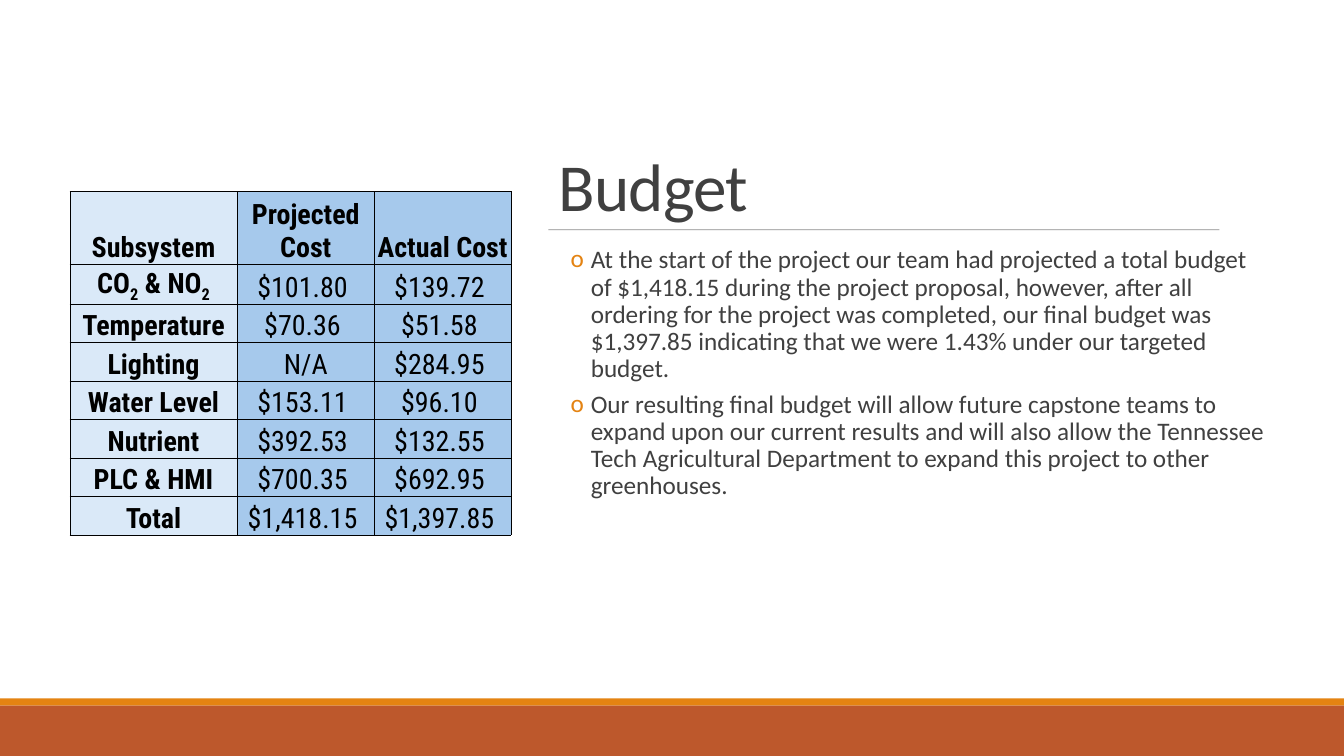
import pptx
import pptx.util
import pptx.dml.color
import pptx.enum.shapes
import pptx.enum.text
import pptx.oxml
import pptx.oxml.ns
import lxml.etree

Cm, Pt = pptx.util.Cm, pptx.util.Pt
Shape = pptx.enum.shapes.MSO_SHAPE
Anchor = pptx.enum.text.MSO_ANCHOR
Align = pptx.enum.text.PP_ALIGN

COSTS = [
    ("Subsystem", "Projected Cost", "Actual Cost"),
    ("CO_2_ & NO_2_", "$101.80 ", "$139.72 "),
    ("Temperature", "$70.36 ", "$51.58 "),
    ("Lighting", "N/A", "$284.95 "),
    ("Water Level", "$153.11 ", "$96.10 "),
    ("Nutrient", "$392.53 ", "$132.55 "),
    ("PLC & HMI", "$700.35 ", "$692.95 "),
    ("Total", "$1,418.15 ", "$1,397.85 "),
]
POINTS = [
    "At the start of the project our team had projected a total budget of "
    "$1,418.15 during the project proposal, however, after all ordering for the "
    "project was completed, our final budget was $1,397.85 indicating that we "
    "were 1.43% under our targeted budget.",
    "Our resulting final budget will allow future capstone teams to expand upon "
    "our current results and will also allow the Tennessee Tech Agricultural "
    "Department to expand this project to other greenhouses.",
]


def color(code):
    return pptx.dml.color.RGBColor.from_string(code)


def add_tag(parent, tag, **attrs):
    node = lxml.etree.SubElement(parent, pptx.oxml.ns.qn(tag))
    for name, value in attrs.items():
        node.set(name, str(value))
    return node


class Page:
    font, ink = "Calibri", "404040"
    accent, rust = "E48312", "BD582C"
    grid_font, pale, blue, black = "Roboto Condensed", "DAE9F8", "A6C9EC", "000000"

    def __init__(self, deck):
        self.slide = deck.slides.add_slide(deck.slide_layouts[6])
        self.shapes = self.slide.shapes

    def run(self, para, text, size, font=None, ink=None, bold=False):
        run = para.add_run()
        run.text = text
        run.font.size = Pt(size)
        run.font.name = font or self.font
        run.font.bold = bold
        run.font.color.rgb = color(ink or self.ink)
        return run

    def band(self, top, height, fill):
        band = self.shapes.add_shape(Shape.RECTANGLE, 0, Cm(top), Cm(33.87), Cm(height))
        band.shadow.inherit = False
        band.fill.solid()
        band.fill.fore_color.rgb = color(fill)
        band.line.fill.background()

    def rule(self, left, right, top):
        rule = self.shapes.add_connector(
            pptx.enum.shapes.MSO_CONNECTOR.STRAIGHT, Cm(left), Cm(top), Cm(right), Cm(top))
        rule.line.width = Pt(0.5)
        rule.line.color.rgb = color("808080")
        tint = rule.line._ln.find(".//" + pptx.oxml.ns.qn("a:srgbClr"))
        add_tag(tint, "a:alpha", val=90000)
        add_tag(rule._element.spPr, "a:effectLst")

    def box(self, left, top, width, height):
        frame = self.shapes.add_textbox(Cm(left), Cm(top), Cm(width), Cm(height)).text_frame
        frame.word_wrap = True
        return frame

    def title(self, text, *place):
        frame = self.box(*place)
        frame.vertical_anchor = Anchor.BOTTOM
        para = frame.paragraphs[0]
        para.line_spacing = 0.85
        run = self.run(para, text, 48)
        run.font._element.set("spc", "-50")

    def bullets(self, points, *place):
        frame = self.box(*place)
        frame.margin_left = frame.margin_right = 0
        for index, point in enumerate(points):
            para = frame.add_paragraph() if index else frame.paragraphs[0]
            props = para._p.get_or_add_pPr()
            props.set("marL", str(Cm(1.07)))
            props.set("indent", str(Cm(-0.51)))
            add_tag(add_tag(props, "a:buClr"), "a:srgbClr", val=self.accent)
            add_tag(props, "a:buFont", typeface=self.font)
            add_tag(props, "a:buChar", char="o")
            para.line_spacing = 0.9
            para.space_before = Pt(2 if index else 0)
            para.space_after = Pt(4)
            self.run(para, point, 18)

    def cell(self, cell, text, fill, bold):
        cell.vertical_anchor = Anchor.BOTTOM
        cell.margin_left = cell.margin_right = cell.margin_top = Cm(0.05)
        cell.margin_bottom = 0
        para = cell.text_frame.paragraphs[0]
        para.alignment = Align.CENTER
        # Underscores enclose subscripts
        for index, part in enumerate(text.split("_")):
            if part:
                run = self.run(para, part, 20, self.grid_font, self.black, bold)
                if index % 2:
                    run.font._element.set("baseline", "-25000")
        # Borders come before the fill
        props = cell._tc.get_or_add_tcPr()
        for side in ("L", "R", "T", "B"):
            edge = add_tag(props, "a:ln" + side, w=Pt(0.5))
            add_tag(add_tag(edge, "a:solidFill"), "a:srgbClr", val=self.black)
        cell.fill.solid()
        cell.fill.fore_color.rgb = color(fill)

    def table(self, rows, left, top, widths, heights):
        table = self.shapes.add_table(
            len(rows), len(widths), Cm(left), Cm(top),
            Cm(sum(widths)), Cm(sum(heights))).table
        table.first_row = table.horz_banding = False
        for col, width in zip(table.columns, widths):
            col.width = Cm(width)
        for row, height in zip(table.rows, heights):
            row.height = Cm(height)
        for r, row in enumerate(rows):
            for c, text in enumerate(row):
                self.cell(table.cell(r, c), text, self.blue if c else self.pale,
                          bold=r == 0 or c == 0)


def main():
    deck = pptx.Presentation()
    deck.slide_width, deck.slide_height = Cm(33.87), Cm(19.05)
    page = Page(deck)

    # Heading and text
    page.title("Budget", 13.82, 1.75, 18.26, 4.04)
    page.rule(13.82, 30.73, 5.79)
    page.bullets(POINTS, 13.82, 6.1, 18.26, 10.19)

    # Footer bands
    page.band(17.6, 0.18, page.accent)
    page.band(17.78, 1.27, page.rust)

    # Cost table
    page.table(COSTS, 1.76, 4.83, [4.22, 3.45, 3.45], [1.82] + [0.97] * 7)

    deck.save("out.pptx")


if __name__ == "__main__":
    main()
